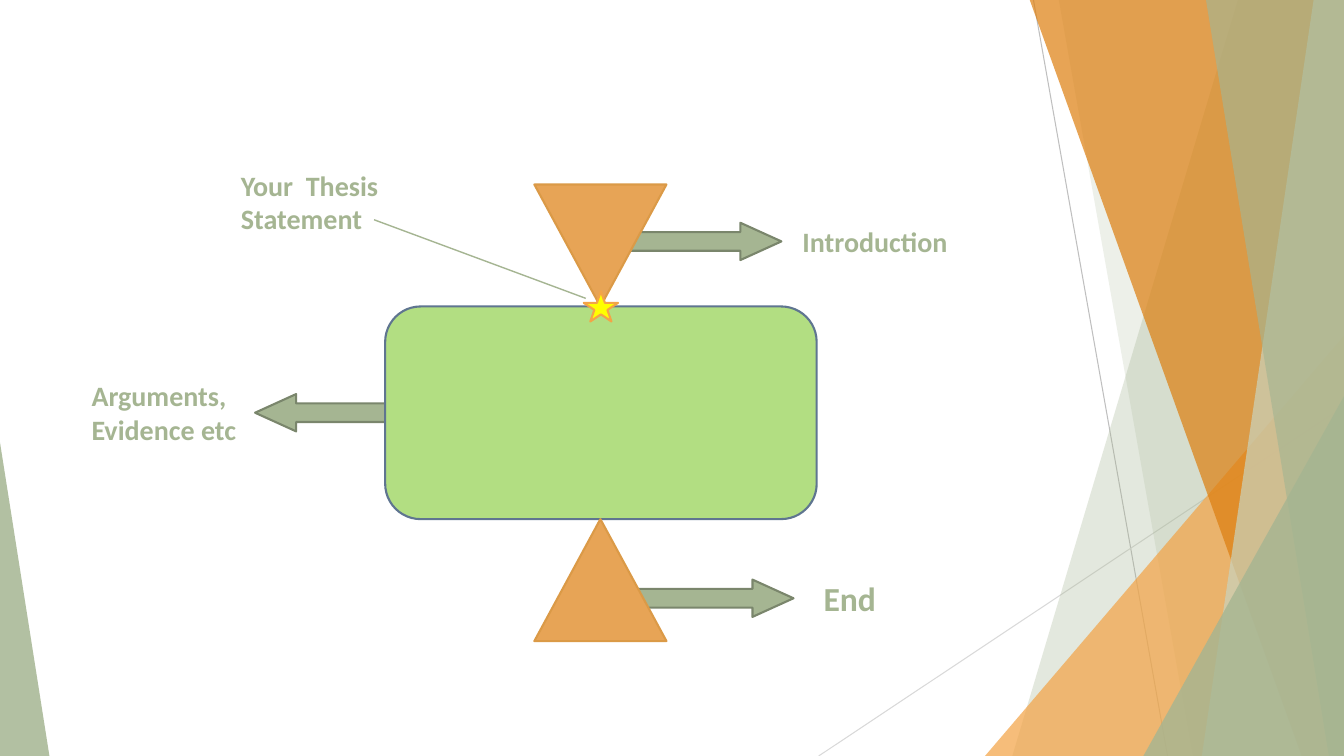
from lxml.etree import SubElement
from pptx import Presentation
from pptx.dml.color import RGBColor
from pptx.enum.shapes import MSO_CONNECTOR as Connector, MSO_SHAPE as Shape
from pptx.oxml.ns import qn
from pptx.util import Inches, Pt

WIDTH, HEIGHT = 13.33, 7.5
COLORS = {
    "sage": "A5B592", "sage_dark": "7A866C", "sage_pale": "C9D3BE",
    "orange": "F3A447", "orange_deep": "DD7E0E",
    "cone": "E7A456", "cone_edge": "DB9A47",
    "body": "B2DE82", "body_edge": "5F7590", "star": "FFFF00",
    "hairline_dark": "BFBFBF", "hairline_light": "D9D9D9",
}


class EssayDiagram:
    """Holds the style and the slide being drawn."""

    font = "Calibri"
    outline = 1.5

    def __init__(self, slide):
        self.shapes = slide.shapes

    def color(self, name):
        return RGBColor.from_string(COLORS[name])

    def paint(self, shape, fill, edge=None, opacity=100):
        shape.shadow.inherit = False
        shape.fill.solid()
        shape.fill.fore_color.rgb = self.color(fill)
        if opacity < 100:
            tint = shape.element.spPr.find(qn("a:solidFill"))[0]
            SubElement(tint, qn("a:alpha"), val=str(opacity * 1000))
        if edge:
            shape.line.color.rgb = self.color(edge)
            shape.line.width = Pt(self.outline)
        else:
            shape.line.fill.background()

    def preset(self, kind, box, fill, edge=None, opacity=100, adjust=(), turn=0):
        shape = self.shapes.add_shape(kind, *map(Inches, box))
        for i, value in enumerate(adjust):
            shape.adjustments[i] = value
        shape.rotation = turn
        self.paint(shape, fill, edge, opacity)

    def facet(self, top_x, bottom_x, fill, opacity):
        """Full-height panel from a slanted left side to the slide's right edge."""
        corners = [(top_x, -0.01), (WIDTH, -0.01), (WIDTH, HEIGHT), (bottom_x, HEIGHT)]
        points = [(Inches(x), Inches(y)) for x, y in corners]
        builder = self.shapes.build_freeform(*points[0])
        builder.add_line_segments(points[1:], close=True)
        self.paint(builder.convert_to_shape(), fill, opacity=opacity)

    def line(self, start, end, color, width):
        line = self.shapes.add_connector(
            Connector.STRAIGHT, *map(Inches, (*start, *end)))
        line.line.color.rgb = self.color(color)
        line.line.width = Pt(width)
        SubElement(line.element.spPr, qn("a:effectLst"))

    def arrow(self, left, top, turn=0):
        self.preset(Shape.LEFT_ARROW, (left, top, 1.62, 0.37), "sage", "sage_dark",
                    adjust=(0.5, 1.1), turn=turn)

    def cone(self, top, turn=0):
        self.preset(Shape.ISOSCELES_TRIANGLE, (5.3, top, 1.31, 1.21), "cone",
                    "cone_edge", turn=turn)

    def label(self, text, box, size=20):
        frame = self.shapes.add_textbox(*map(Inches, box)).text_frame
        frame.word_wrap = True
        frame.text = text
        font = frame.paragraphs[0].runs[0].font
        font.name, font.size, font.bold = self.font, Pt(size), True
        font.color.rgb = self.color("sage")

    def backdrop(self):
        self.line((10.25, 0), (11.58, HEIGHT), "hairline_dark", 0.75)
        self.line((WIDTH, 4.03), (8.12, HEIGHT), "hairline_light", 0.75)
        self.facet(12.28, 10.04, "sage", 30)
        self.facet(10.5, 11.83, "sage", 20)
        self.corner((9.77, 3.33, 3.56, 4.17), "orange", 72)
        self.facet(10.21, 12.91, "orange_deep", 70)
        self.facet(13.03, 11.92, "sage_pale", 70)
        self.facet(11.96, 13.18, "sage", 65)
        self.corner((11.34, 3.93, 1.99, 3.57), "sage", 80)
        self.corner((0, 4.39, 0.49, 3.11), "sage", 85, peak=0)

    def corner(self, box, fill, opacity, peak=1):
        """Right triangle; peak 0 puts its tip on the left, 1 on the right."""
        self.preset(Shape.ISOSCELES_TRIANGLE, box, fill, opacity=opacity, adjust=(peak,))

    def essay(self):
        self.arrow(2.53, 3.91)
        self.arrow(6.13, 2.21, turn=180)
        self.arrow(6.25, 5.75, turn=180)
        self.preset(Shape.ROUNDED_RECTANGLE, (3.82, 3.04, 4.28, 2.11), "body", "body_edge")
        self.cone(1.83, turn=180)
        self.cone(5.15)
        self.label("Introduction", (7.86, 2.18, 2.28, 0.44))
        self.label("Arguments, Evidence etc", (0.81, 3.71, 2.3, 0.77))
        self.label("End", (8.07, 5.68, 2.38, 0.5), size=24)
        self.preset(Shape.STAR_5_POINT, (5.79, 2.89, 0.34, 0.3), "star", "orange")
        self.line((3.71, 2.18), (5.81, 2.96), "sage", 1)
        self.label("Your  Thesis Statement", (2.29, 1.62, 2.19, 0.77))


def main():
    deck = Presentation()
    deck.slide_width, deck.slide_height = Inches(WIDTH), Inches(HEIGHT)
    blank_layout = deck.slide_layouts[6]
    diagram = EssayDiagram(deck.slides.add_slide(blank_layout))
    diagram.backdrop()
    diagram.essay()
    deck.save("out.pptx")


if __name__ == "__main__":
    main()
